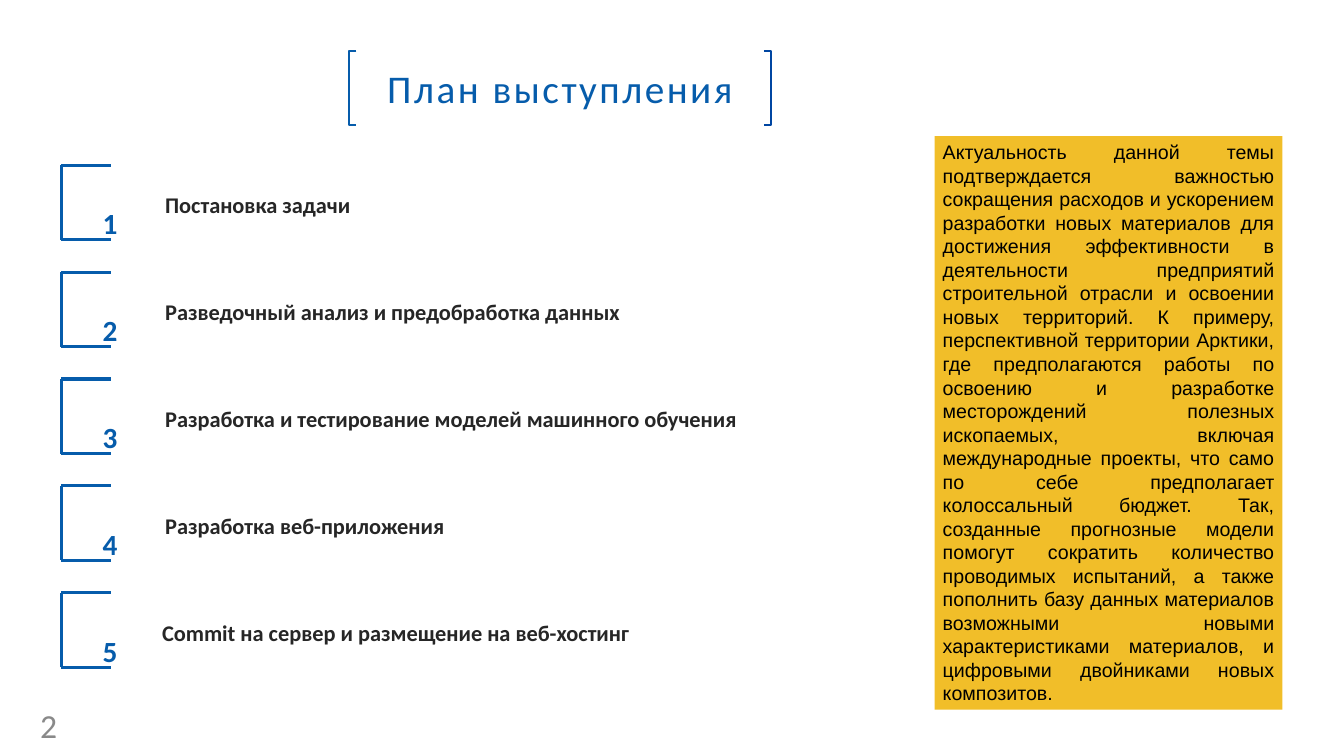
from pptx import Presentation
from pptx import util as u
from pptx.dml.color import RGBColor
from pptx.enum import shapes as sh, text as tx
from pptx.oxml.ns import qn
from lxml import etree

COLS, ROWS = 133.3, 75
CELL = u.Inches(0.1)
INK = {"blue": "065CAB", "navy": "0046A2", "gold": "F1BE29", "white": "FFFFFF",
       "dark": "262626", "grey": "898989", "black": "000000"}
TITLE = (34.6, 5.1, 41.9, 7.3)
TOP, STEP, LEFT = 16.4, 10.6, 6.1
ITEMS = ["Постановка задачи",
         "Разведочный анализ и предобработка данных",
         "Разработка и тестирование моделей машинного обучения",
         "Разработка веб-приложения",
         "Commit на сервер и размещение на веб-хостинг"]
NOTE = ("Актуальность данной темы подтверждается важностью сокращения расходов "
        "и ускорением разработки новых материалов для достижения эффективности "
        "в деятельности предприятий строительной отрасли и освоении новых "
        "территорий. К примеру, перспективной территории Арктики, где "
        "предполагаются работы по освоению и разработке месторождений полезных "
        "ископаемых, включая международные проекты, что само по себе "
        "предполагает колоссальный бюджет. Так, созданные прогнозные модели "
        "помогут сократить количество проводимых испытаний, а также пополнить "
        "базу данных материалов возможными новыми характеристиками материалов, "
        "и цифровыми двойниками новых композитов.")


def grid(*cells):
    """Turn grid cells into slide lengths."""
    return [round(c * CELL) for c in cells]


def tint(name):
    """Return a named colour."""
    return RGBColor.from_string(INK[name])


def write(shape, words, size, ink, font="Calibri", bold=False, align="LEFT",
          mid=False, pad=(1, 0.5), grow=False, space=None, lift=None):
    """Put formatted text into a shape."""
    frame = shape.text_frame
    frame.word_wrap = True
    frame.margin_left = frame.margin_right = grid(pad[0])[0]
    frame.margin_top = frame.margin_bottom = grid(pad[1])[0]
    frame.vertical_anchor = tx.MSO_ANCHOR.MIDDLE if mid else tx.MSO_ANCHOR.TOP
    if grow:
        frame.auto_size = tx.MSO_AUTO_SIZE.SHAPE_TO_FIT_TEXT
    para = frame.paragraphs[0]
    para.alignment = tx.PP_ALIGN[align]
    run = para.add_run()
    run.text = words
    run.font.size = u.Pt(size)
    run.font.name = font
    run.font.bold = bold
    run.font.color.rgb = tint(ink)
    props = run.font._element
    if space:
        props.set("spc", str(round(space * 100)))
    if lift:
        props.set("baseline", str(lift * 1000))


def label(slide, cells, words, size, ink, **form):
    """Add a text box."""
    write(slide.shapes.add_textbox(*grid(*cells)), words, size, ink, **form)


def panel(slide, cells, fill, edge=None):
    """Add a filled rectangle."""
    shape = slide.shapes.add_shape(sh.MSO_SHAPE.RECTANGLE, *grid(*cells))
    shape.shadow.inherit = False
    shape.fill.solid()
    shape.fill.fore_color.rgb = tint(fill)
    if edge:
        shape.line.color.rgb = tint(edge)
        shape.line.width = u.Pt(2)
    else:
        shape.line.fill.background()
    return shape


def brace(slide, side, tip, ink):
    """Draw one open bracket of the title."""
    top, end = TITLE[1], TITLE[1] + TITLE[3]
    dots = [grid(*dot) for dot in ((tip, top), (side, top), (side, end), (tip, end))]
    form = slide.shapes.build_freeform(*dots[0])
    form.add_line_segments(dots[1:], close=False)
    shape = form.convert_to_shape()
    shape.shadow.inherit = False
    shape.fill.background()
    shape.line.color.rgb = tint(ink)
    shape.line.width = u.Pt(1.3)


def stroke(group, *ends):
    """Add a straight blue line to a group."""
    line = group.shapes.add_connector(sh.MSO_CONNECTOR.STRAIGHT, *grid(*ends))
    line.line.color.rgb = tint("blue")
    line.line.width = u.Pt(2.25)
    etree.SubElement(line._element.spPr, qn("a:effectLst"))


def item(slide, num, words):
    """Draw a numbered row of the plan."""
    top = TOP + STEP * (num - 1)
    end, tip = top + 7.4, LEFT + 4.9
    group = slide.shapes.add_group_shape()
    stroke(group, LEFT, top, LEFT, end)
    stroke(group, LEFT, top, tip, top)
    stroke(group, LEFT, end, tip, end)
    left = 15.1 if num == len(ITEMS) else 15.4
    label(slide, (left, top + 2.1, 68, 3.7), words, 16, "dark", bold=True, grow=True)
    label(slide, (9.2, top + 2.9, 11.8, 5), str(num), 36, "blue",
          bold=True, grow=True, lift=30)


def main():
    """Build and save the slide."""
    deck = Presentation()
    deck.slide_width, deck.slide_height = grid(COLS, ROWS)
    slide = deck.slides.add_slide(deck.slide_layouts[6])
    left, right = TITLE[0], TITLE[0] + TITLE[2]
    write(panel(slide, TITLE, "white", "white"), "План выступления", 28, "blue",
          align="CENTER", mid=True, space=1.8)
    brace(slide, left, left + 0.75, "blue")
    brace(slide, right, right - 0.75, "navy")
    label(slide, (3, 70.4, 6.2, 3), "2", 24, "grey", mid=True)
    write(panel(slide, (92.7, 13.5, 34.5, 56.9), "gold"), NOTE, 14, "black",
          font="Arial", align="JUSTIFY", pad=(0.8, 0.4))
    for num, words in enumerate(ITEMS, 1):
        item(slide, num, words)
    deck.save("out.pptx")


if __name__ == "__main__":
    main()
